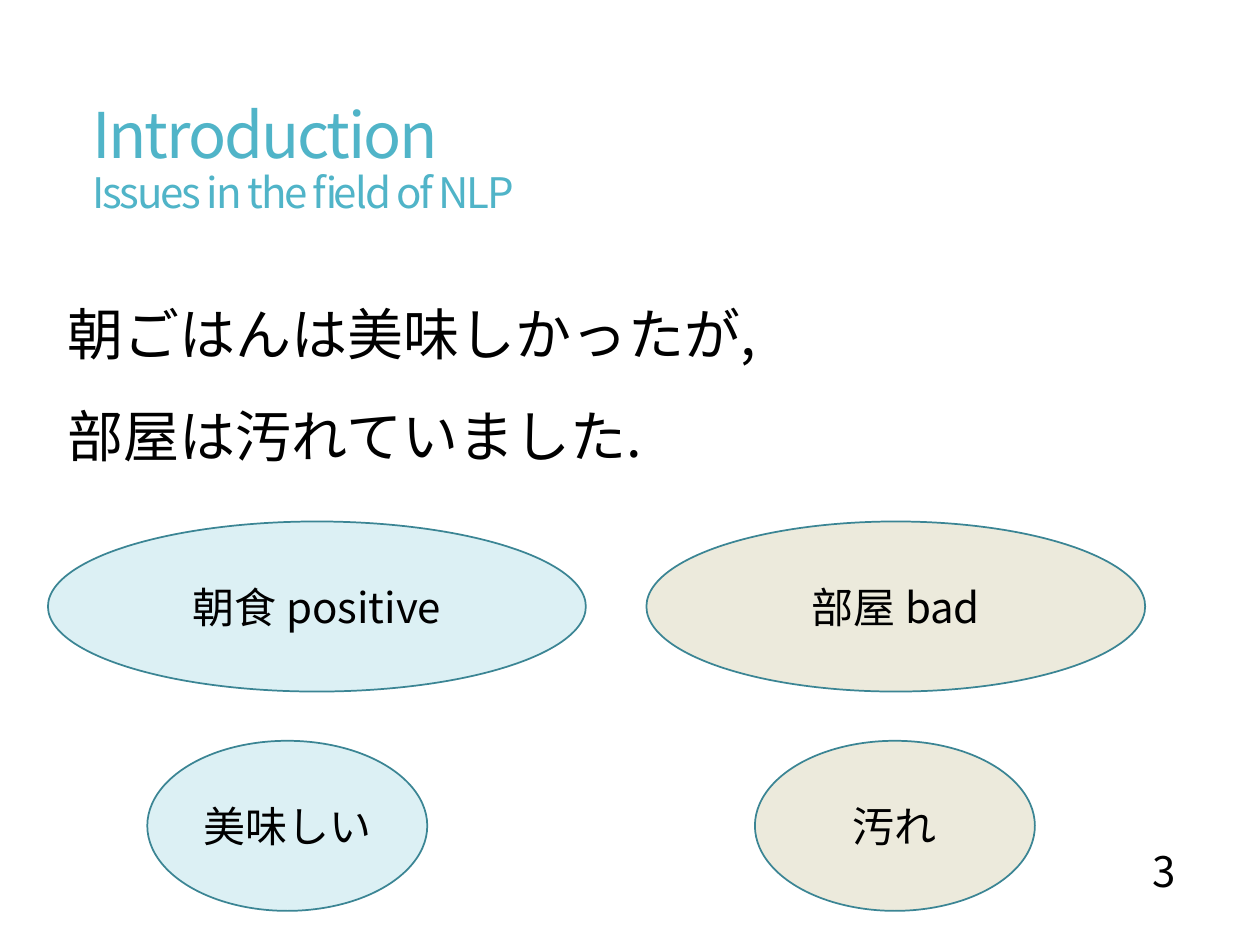
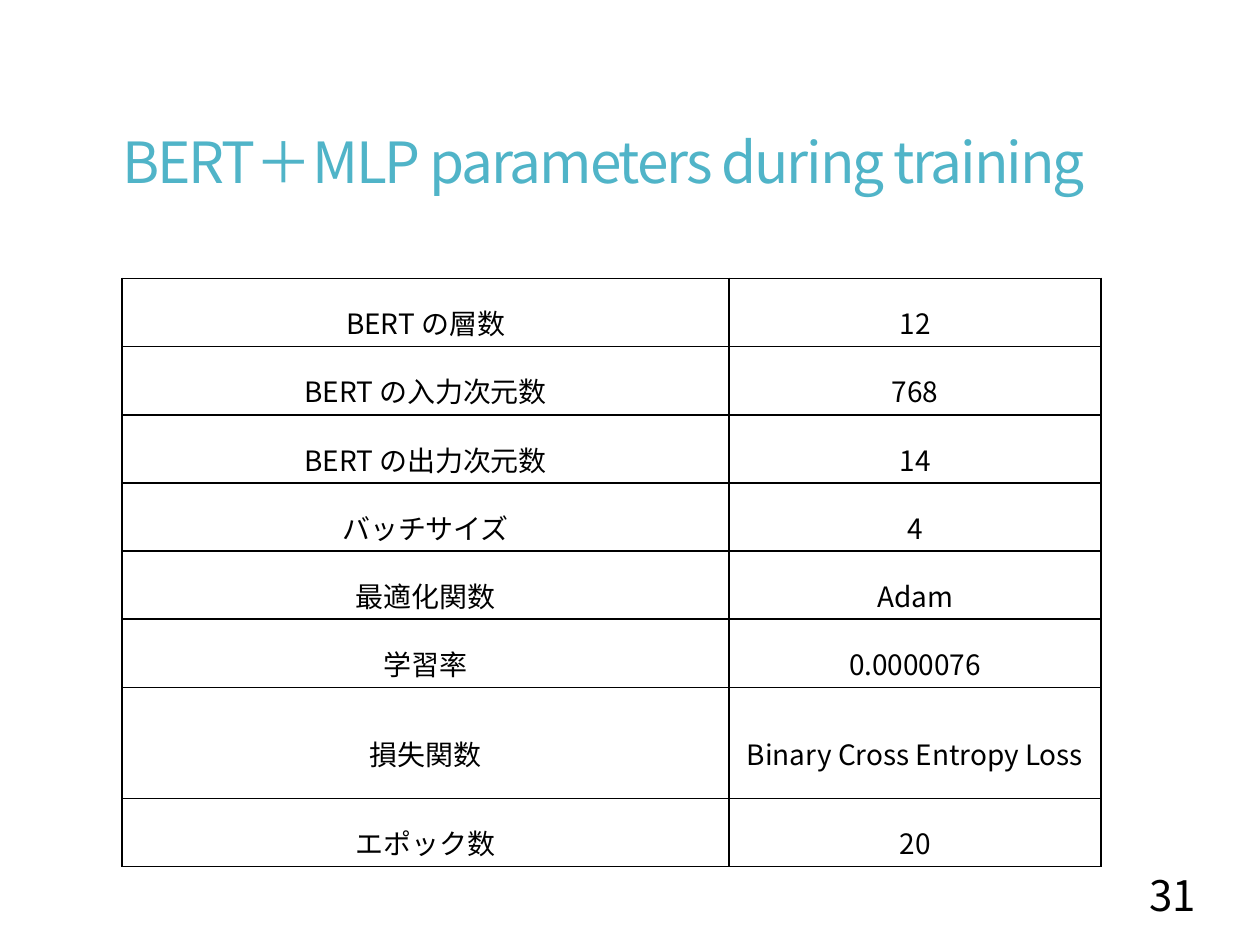
from lxml.etree import SubElement
from pptx import Presentation
from pptx.dml.color import RGBColor
from pptx.enum.shapes import MSO_SHAPE
from pptx.enum.text import MSO_ANCHOR, MSO_AUTO_SIZE, PP_ALIGN
from pptx.oxml.ns import qn
from pptx.util import Pt

FONT = "Noto Sans CJK JP"
COLORS = {
    "title": "50B4C8", "text": "000000", "edge": "3B8594",
    "good": "DCF0F4", "bad": "ECEADC",
}
TITLE = {"line_spacing": 0.9, "alignment": PP_ALIGN.LEFT}
BODY = {"line_spacing": 0.85, "alignment": PP_ALIGN.LEFT}
LABEL = {"alignment": PP_ALIGN.CENTER}
NUMBER = {"alignment": PP_ALIGN.RIGHT}
CELL = {"alignment": PP_ALIGN.CENTER, "line_spacing": 1.5}
FRAME = {"word_wrap": True, "auto_size": MSO_AUTO_SIZE.NONE,
         "vertical_anchor": MSO_ANCHOR.MIDDLE}
INSETS = {"margin_left": Pt(4.3), "margin_right": Pt(4.3),
          "margin_top": Pt(2.2), "margin_bottom": Pt(2.2),
          "vertical_anchor": MSO_ANCHOR.MIDDLE}

PARAMS = [
    ("BERT の層数", "12"),
    ("BERT の入力次元数", "768"),
    ("BERT の出力次元数", "14"),
    ("バッチサイズ", "4"),
    ("最適化関数", "Adam"),
    ("学習率", "0.0000076"),
    ("損失関数", "Binary Cross Entropy Loss"),
    ("エポック数", "20"),
]


def color(name):
    return RGBColor.from_string(COLORS[name])


def apply(item, style):
    for key, value in style.items():
        setattr(item, key, value)


def write(frame, lines, style, ink="text", track=None):
    """Fill a text frame with one paragraph per (text, size) pair."""
    for i, (text, size) in enumerate(lines):
        para = frame.add_paragraph() if i else frame.paragraphs[0]
        apply(para, style)
        run = para.add_run()
        run.text = text
        apply(run.font, {"size": Pt(size), "name": FONT})
        run.font.color.rgb = color(ink)
        props = run._r.get_or_add_rPr()
        SubElement(props, qn("a:ea"), typeface=FONT)
        if track:
            props.set("spc", str(track))


def add_title(slide, box, lines):
    title = slide.shapes.title
    apply(title, dict(zip(("left", "top", "width", "height"), map(Pt, box))))
    apply(title.text_frame, FRAME)
    write(title.text_frame, lines, TITLE, "title", -120)


def add_text(slide, box, lines, style, anchor=MSO_ANCHOR.MIDDLE):
    frame = slide.shapes.add_textbox(*map(Pt, box)).text_frame
    apply(frame, {**FRAME, "vertical_anchor": anchor})
    write(frame, lines, style)
    return frame


def add_oval(slide, box, text, fill):
    oval = slide.shapes.add_shape(MSO_SHAPE.OVAL, *map(Pt, box))
    oval.shadow.inherit = False
    oval.fill.solid()
    oval.fill.fore_color.rgb = color(fill)
    oval.line.color.rgb = color("edge")
    oval.line.width = Pt(1)
    apply(oval.text_frame, FRAME)
    write(oval.text_frame, [(text, 24)], LABEL)


def add_pair(slide, box, topic, word, inset, fill):
    """Stack a wide topic oval over a narrow word oval."""
    left, top, width, height = box
    tall = 97.2
    add_oval(slide, (left, top, width, tall), topic, fill)
    add_oval(slide, (left + inset, top + height - tall, 160, tall), word, fill)


def rule_cell(cell):
    props = cell._tc.get_or_add_tcPr()
    for side in "LRTB":
        line = SubElement(props, qn(f"a:ln{side}"), w=str(Pt(1)))
        paint = SubElement(line, qn("a:solidFill"))
        SubElement(paint, qn("a:srgbClr"), val=COLORS["text"])
    cell.fill.background()


def add_params(slide, box, rows, split):
    """Draw the parameter table; split is the share of the first column."""
    left, top, width, height = box
    table = slide.shapes.add_table(len(rows), 2, *map(Pt, box)).table
    apply(table, {"first_row": False, "horz_banding": False})
    for col, share in zip(table.columns, (split, 1 - split)):
        col.width = Pt(width * share)
    loss = 63.4
    for r, row in enumerate(rows):
        plain = (height - loss) / (len(rows) - 1)
        table.rows[r].height = Pt(loss if row[0] == "損失関数" else plain)
        for c, text in enumerate(row):
            cell = table.cell(r, c)
            rule_cell(cell)
            apply(cell, INSETS)
            write(cell.text_frame, [(text, 16)], CELL)


def add_intro(deck):
    slide = deck.slides.add_slide(deck.slide_layouts[5])
    add_title(slide, (45.4, 47.5, 546.5, 88.6),
              [("Introduction", 36), ("Issues in the field of NLP", 24)])
    body = add_text(slide, (31.7, 173.6, 643, 120),
                    [("朝ごはんは美味しかったが,", 32),
                     ("部屋は汚れていました.", 32)], BODY, MSO_ANCHOR.TOP)
    body.paragraphs[1].space_before = Pt(25.7)
    add_pair(slide, (27.4, 298, 307.4, 222.5),
             "朝食 positive", "美味しい", 56.8, "good")
    add_pair(slide, (369.4, 298, 285, 222.5),
             "部屋 bad", "汚れ", 62, "bad")
    add_text(slide, (604.8, 477.4, 74.2, 40.3), [("3", 24)], NUMBER)


def add_training(deck):
    slide = deck.slides.add_slide(deck.slide_layouts[5])
    add_title(slide, (62.6, 68.4, 594, 51.8),
              [("BERT＋MLP parameters during training", 32.4)])
    add_params(slide, (69.8, 159.1, 559.4, 290.2), PARAMS, 0.62)
    add_text(slide, (599, 490.3, 91.4, 41.8), [("31", 24)], NUMBER)


def main():
    deck = Presentation()
    apply(deck, {"slide_width": Pt(720), "slide_height": Pt(540)})
    add_intro(deck)
    add_training(deck)
    deck.save("out.pptx")


if __name__ == "__main__":
    main()
